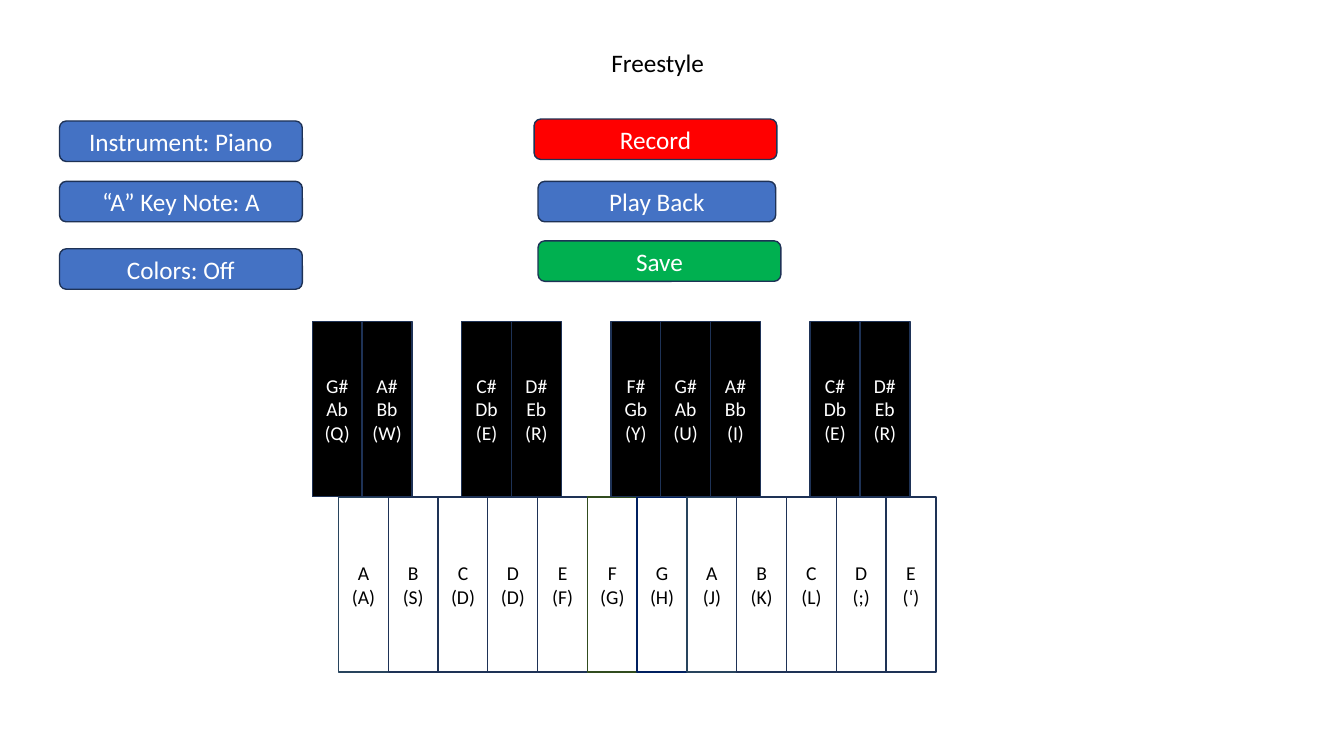
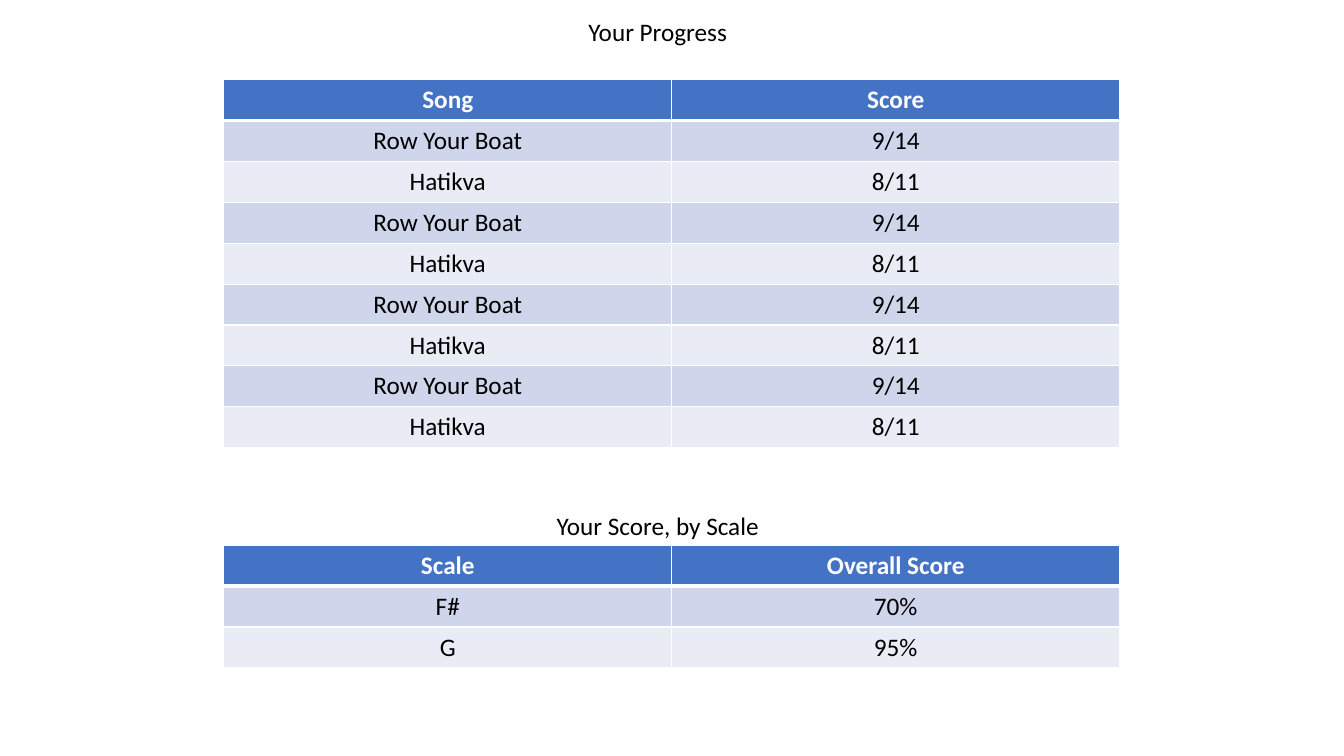
import pptx
import pptx.util
import pptx.dml.color
import pptx.enum.shapes
import pptx.enum.text
import pptx.oxml
import pptx.oxml.ns

Cm = pptx.util.Cm
Pt = pptx.util.Pt
RGBColor = pptx.dml.color.RGBColor
SHAPE = pptx.enum.shapes.MSO_SHAPE
ANCHOR = pptx.enum.text.MSO_ANCHOR

FONT = "Calibri"
WHITE = RGBColor(0xFF, 0xFF, 0xFF)
BLACK = RGBColor(0x00, 0x00, 0x00)
BLUE = RGBColor(0x44, 0x72, 0xC4)
RED = RGBColor(0xFF, 0x00, 0x00)
GREEN = RGBColor(0x00, 0xB0, 0x50)
NAVY = RGBColor(0x1E, 0x32, 0x56)
TEAL = RGBColor(0x28, 0x44, 0x5D)
OLIVE = RGBColor(0x31, 0x4C, 0x1F)
INDIGO = RGBColor(0x00, 0x20, 0x60)
BANDS = (RGBColor(0xCF, 0xD5, 0xEA), RGBColor(0xE9, 0xEB, 0xF5))

HEAD_X, HEAD_W, HEAD_H = 6.91, 19.33, 1.02
BTN_W, BTN_H = 6.12, 1.02
KEY_W, KEY_H = 1.26, 4.42
PITCH = 13.8 / 11
ROW_H = 1.03

LEFT = [
    ("Instrument: Piano", 0, 0.05, BTN_W, BLUE),
    ("“A” Key Note: A", 0, 1.57, BTN_W, BLUE),
    ("Colors: Off", 0, 3.27, BTN_W, BLUE),
]
RIGHT = [
    ("Record", 0, 0, BTN_W, RED),
    ("Play Back", 0.1, 1.57, 5.99, BLUE),
    ("Save", 0.1, 3.07, BTN_W, GREEN),
]
NATURALS = list(zip("ABCDEFGABCDE", "ASDDFGHJKL;‘"))
EDGES = {0: TEAL, 5: OLIVE, 6: INDIGO, 7: TEAL}
SHARPS = [
    (0, "G#", "Ab", "Q"), (1, "A#", "Bb", "W"), (3, "C#", "Db", "E"),
    (4, "D#", "Eb", "R"), (6, "F#", "Gb", "Y"), (7, "G#", "Ab", "U"),
    (8, "A#", "Bb", "I"), (10, "C#", "Db", "E"), (11, "D#", "Eb", "R"),
]
SONGS = [("Song", "Score")] + [("Row Your Boat", "9/14"), ("Hatikva", "8/11")] * 4
SCALES = [("Scale", "Overall Score"), ("F#", "70%"), ("G", "95%")]


def write(frame, text, size=18, color=BLACK, bold=False):
    frame.text = text
    for para in frame.paragraphs:
        para.alignment = pptx.enum.text.PP_ALIGN.CENTER
        for run in para.runs:
            run.font.name = FONT
            run.font.size = Pt(size)
            run.font.bold = bold
            run.font.color.rgb = color


def head(box, text, top):
    box.left, box.top = Cm(HEAD_X), Cm(top)
    box.width, box.height = Cm(HEAD_W), Cm(HEAD_H)
    frame = box.text_frame
    frame.word_wrap = True
    frame.auto_size = pptx.enum.text.MSO_AUTO_SIZE.NONE
    frame.vertical_anchor = ANCHOR.TOP
    write(frame, text)


def block(slide, kind, box, text, fill, edge=NAVY, **form):
    shape = slide.shapes.add_shape(kind, *map(Cm, box))
    shape.shadow.inherit = False
    shape.fill.solid()
    shape.fill.fore_color.rgb = fill
    shape.line.color.rgb = edge
    shape.line.width = Pt(1)
    frame = shape.text_frame
    frame.word_wrap = True
    frame.vertical_anchor = ANCHOR.MIDDLE
    frame.margin_left = frame.margin_right = 0
    write(frame, text, **form)


def panel(slide, left, top, items):
    for text, dx, dy, width, fill in items:
        box = (left + dx, top + dy, width, BTN_H)
        block(slide, SHAPE.ROUNDED_RECTANGLE, box, text, fill, color=WHITE)


def piano(slide, left, top):
    for slot, (note, key) in enumerate(NATURALS):
        box = (left + 0.66 + slot * PITCH, top + KEY_H, KEY_W, KEY_H)
        block(slide, SHAPE.RECTANGLE, box, f"{note}\n({key})", WHITE,
              EDGES.get(slot, NAVY), size=14)
    for slot, sharp, flat, key in SHARPS:
        box = (left + slot * PITCH, top, KEY_W, KEY_H)
        block(slide, SHAPE.RECTANGLE, box, f"{sharp}\n{flat}\n({key})", BLACK,
              size=14, color=WHITE)


def border(cell, **widths):
    props = cell._tc.get_or_add_tcPr()
    space = pptx.oxml.ns.nsdecls("a")
    for side in "LRTB":
        width = int(Pt(widths.get(side, 1)))
        props.append(pptx.oxml.parse_xml(
            f'<a:ln{side} {space} w="{width}"><a:solidFill>'
            f'<a:srgbClr val="{WHITE}"/></a:solidFill></a:ln{side}>'))


def grid(slide, left, top, width, rows):
    size = (left, top, width, ROW_H * len(rows))
    table = slide.shapes.add_table(len(rows), 2, *map(Cm, size)).table
    for y, row in enumerate(rows):
        table.rows[y].height = Cm(ROW_H)
        for x, text in enumerate(row):
            cell = table.cell(y, x)
            border(cell, T=3 if y == 1 else 1, B=3 if y == 0 else 1)
            cell.fill.solid()
            cell.fill.fore_color.rgb = BANDS[(y - 1) % 2] if y else BLUE
            write(cell.text_frame, text, color=BLACK if y else WHITE, bold=y == 0)


def start(deck, title, top):
    slide = deck.slides.add_slide(deck.slide_layouts[5])
    head(slide.shapes.title, title, top)
    return slide


def play(deck):
    slide = start(deck, "Freestyle", 1.07)
    panel(slide, 1.5, 3, LEFT)
    panel(slide, 13.46, 3, RIGHT)
    piano(slide, 7.87, 8.1)


def score(deck):
    slide = start(deck, "Your Progress", 0.28)
    grid(slide, 5.64, 2.01, 22.58, SONGS)
    grid(slide, 5.64, 13.74, 22.58, SCALES)
    head(slide.shapes.add_textbox(0, 0, 0, 0), "Your Score, by Scale", 12.73)


def main():
    deck = pptx.Presentation()
    deck.slide_width, deck.slide_height = Cm(33.87), Cm(19.05)
    play(deck)
    score(deck)
    deck.save("out.pptx")


if __name__ == "__main__":
    main()
